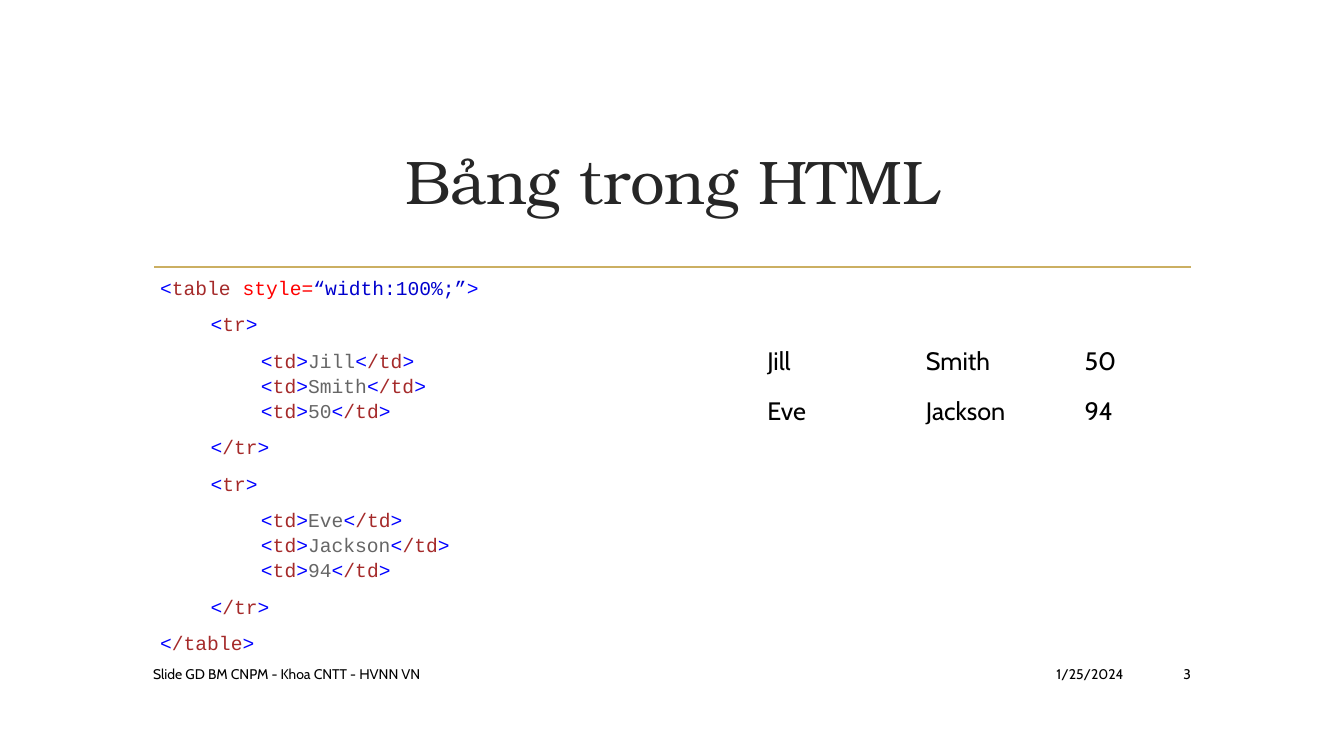
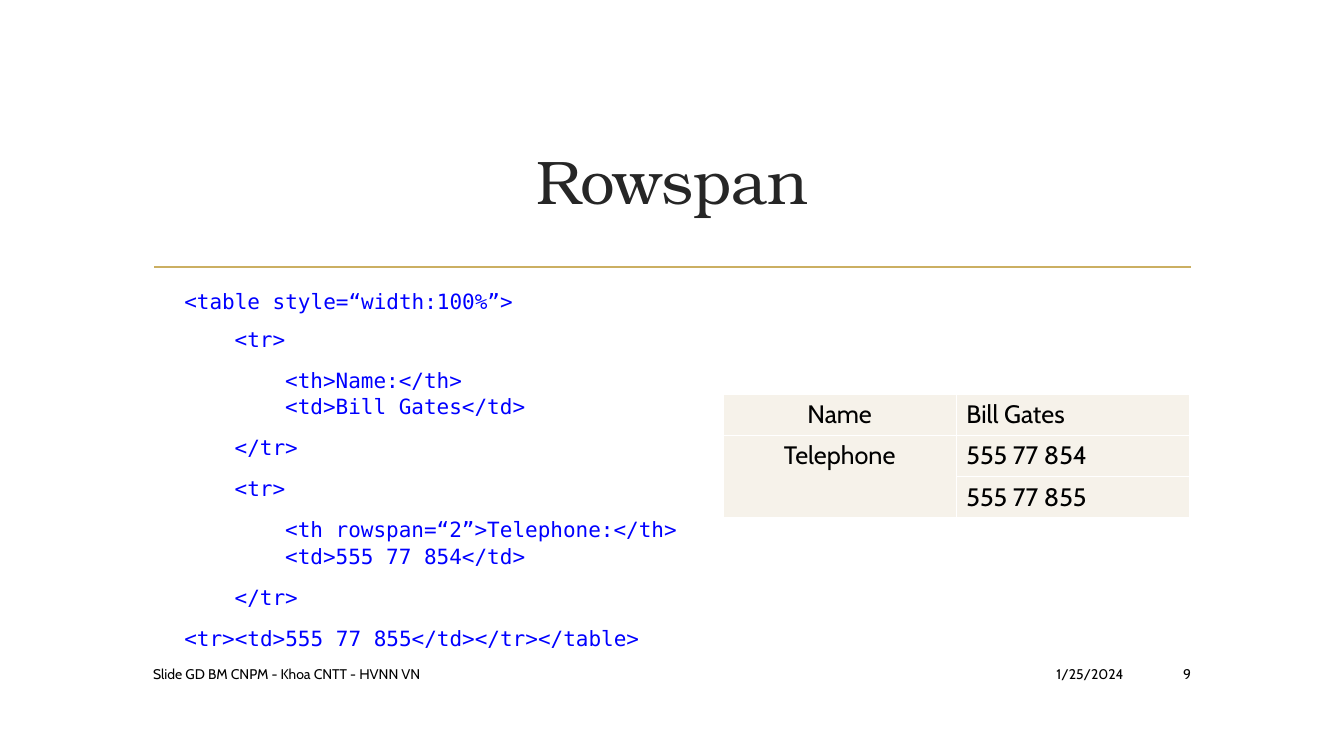
from lxml import etree
from pptx import Presentation
from pptx.dml.color import RGBColor
from pptx.enum.shapes import MSO_CONNECTOR
from pptx.enum.text import MSO_ANCHOR, PP_ALIGN
from pptx.oxml.ns import qn
from pptx.util import Inches, Pt

LEFT, CENTER, RIGHT = PP_ALIGN.LEFT, PP_ALIGN.CENTER, PP_ALIGN.RIGHT
TOP, MIDDLE = MSO_ANCHOR.TOP, MSO_ANCHOR.MIDDLE
STRAIGHT = MSO_CONNECTOR.STRAIGHT
TITLE_ONLY = 5

COLORS = {
    "title": "262626", "text": "000000", "rule": "CBAF62", "cell": "F6F2EA",
    "bracket": "0000FF", "tag": "A52A2A", "attribute": "FF0000",
    "value": "0000CD", "content": "666666",
}
TITLE_FONT, BODY_FONT = "TeX Gyre Bonum", "Cabin"

# Content: code blocks are (indent level, lines)
HTML_TABLE_CODE = [
    (0, ["<table style=“width:100%;”>"]),
    (1, ["<tr>"]),
    (2, ["<td>Jill</td>", "<td>Smith</td>", "<td>50</td>"]),
    (1, ["</tr>"]),
    (1, ["<tr>"]),
    (2, ["<td>Eve</td>", "<td>Jackson</td>", "<td>94</td>"]),
    (1, ["</tr>"]),
    (0, ["</table>"]),
]
HTML_TABLE_ROWS = [["Jill", "Smith", "50"], ["Eve", "Jackson", "94"]]

ROWSPAN_CODE = [
    (0, ["<table style=“width:100%”>"]),
    (1, ["<tr>"]),
    (2, ["<th>Name:</th>", "<td>Bill Gates</td>"]),
    (1, ["</tr>"]),
    (1, ["<tr>"]),
    (2, ["<th rowspan=“2”>Telephone:</th>", "<td>555 77 854</td>"]),
    (1, ["</tr>"]),
    (0, ["<tr><td>555 77 855</td></tr></table>"]),
]
ROWSPAN_ROWS = [["Name", "Bill Gates"], ["Telephone", "555 77 854"], ["", "555 77 855"]]

# Footer parts: left, width, alignment, text (the number goes last)
FOOTER = [
    (1.42, 7.99, LEFT, "Slide GD BM CNPM - Khoa CNTT - HVNN VN"),
    (9.49, 1.75, RIGHT, "1/25/2024"),
    (11.32, 0.59, RIGHT, "{number}"),
]


def style_run(run, font, size, color):
    run.font.name = font
    run.font.size = Pt(size)
    run.font.color.rgb = RGBColor.from_string(COLORS[color])


def set_text(text_frame, text, font, size, color, align=LEFT):
    text_frame.text = text
    paragraph = text_frame.paragraphs[0]
    paragraph.alignment = align
    for run in paragraph.runs:
        style_run(run, font, size, color)


def add_text_box(slide, left, top, width, height, anchor=TOP):
    box = slide.shapes.add_textbox(Inches(left), Inches(top), Inches(width), Inches(height))
    box.text_frame.word_wrap = True
    box.text_frame.vertical_anchor = anchor
    return box.text_frame


# Title, rule and footer shared by all slides
def add_slide(presentation, title_text, number):
    slide = presentation.slides.add_slide(presentation.slide_layouts[TITLE_ONLY])
    title = slide.shapes.title
    title.left, title.top = Inches(1.42), Inches(1.07)
    title.width, title.height = Inches(10.5), Inches(1.43)
    title.text_frame.vertical_anchor = MIDDLE
    set_text(title.text_frame, title_text, TITLE_FONT, 44, "title", CENTER)

    rule = slide.shapes.add_connector(
        STRAIGHT, Inches(1.53), Inches(2.65), Inches(11.81), Inches(2.65))
    rule.line.color.rgb = RGBColor.from_string(COLORS["rule"])
    rule.line.width = Pt(1.25)
    etree.SubElement(rule._element.spPr, qn("a:effectLst"))

    for left, width, align, text in FOOTER:
        frame = add_text_box(slide, left, 6.53, width, 0.31, MIDDLE)
        set_text(frame, text.format(number=number), BODY_FONT, 10, "text", align)
    return slide


# Code blocks
def highlight(line):
    """Split a line of HTML into (text, colour) parts."""
    parts = []
    for piece in line.split("<")[1:]:
        tag, _, content = piece.partition(">")
        name, space, attribute = tag.partition(" ")
        key, equals, value = attribute.partition("=")
        parts += [("<", "bracket"), (name + space, "tag"), (key + equals, "attribute"),
                  (value, "value"), (">", "bracket"), (content, "content")]
    return [part for part in parts if part[0]]


def plain(line):
    return [(line, "bracket")]


def add_code(text_frame, blocks, split_line, font, size, indent, line_spacing, space_before=0):
    for index, (level, lines) in enumerate(blocks):
        paragraph = text_frame.add_paragraph() if index else text_frame.paragraphs[0]
        paragraph.line_spacing = line_spacing
        paragraph.space_after = Pt(8)
        paragraph.space_before = Pt(space_before if index > 1 else 0)
        properties = paragraph._p.get_or_add_pPr()
        properties.set("marL", str(Inches(indent + 0.5 * level)))
        properties.set("indent", "0")
        for line_index, line in enumerate(lines):
            if line_index:
                line_break = paragraph._p.add_br()
                etree.SubElement(line_break, qn("a:rPr"), sz=str(size * 100))
            for text, color in split_line(line):
                run = paragraph.add_run()
                run.text = text
                style_run(run, font, size, color)


# Tables
def add_grid(slide, rows, left, top, width, row_heights, fill=None, first_align=LEFT):
    columns = len(rows[0])
    frame = slide.shapes.add_table(
        len(rows), columns, Inches(left), Inches(top), Inches(width), Inches(sum(row_heights)))
    table = frame.table
    table.first_row = table.horz_banding = False
    for column in table.columns:
        column.width = Inches(width / columns)
    for row_index, values in enumerate(rows):
        table.rows[row_index].height = Inches(row_heights[row_index])
        for column_index, value in enumerate(values):
            cell = table.cell(row_index, column_index)
            if fill:
                cell.fill.solid()
                cell.fill.fore_color.rgb = RGBColor.from_string(COLORS[fill])
            else:
                cell.fill.background()
            align = LEFT if column_index else first_align
            set_text(cell.text_frame, value, BODY_FONT, 18, "text", align)
    return table


def main():
    presentation = Presentation()
    presentation.slide_width, presentation.slide_height = Inches(13.33), Inches(7.5)

    # Tables in HTML
    slide = add_slide(presentation, "Bảng trong HTML", 3)
    add_code(add_text_box(slide, 0.99, 2.67, 6.03, 3.91), HTML_TABLE_CODE, highlight,
             "Courier New", 14, indent=0.5, line_spacing=1.07)
    add_grid(slide, HTML_TABLE_ROWS, 7.51, 3.38, 4.72, [0.5, 0.41])

    # Rowspan
    slide = add_slide(presentation, "Rowspan", 9)
    add_code(add_text_box(slide, 1.42, 2.8, 10.5, 3.63), ROWSPAN_CODE, plain,
             "DejaVu Sans Mono", 15, indent=0.31, line_spacing=1.05, space_before=2.5)
    table = add_grid(slide, ROWSPAN_ROWS, 7.17, 3.91, 4.63, [0.41] * 3, "cell", CENTER)
    table.cell(1, 0).merge(table.cell(2, 0))

    presentation.save("out.pptx")


if __name__ == "__main__":
    main()
